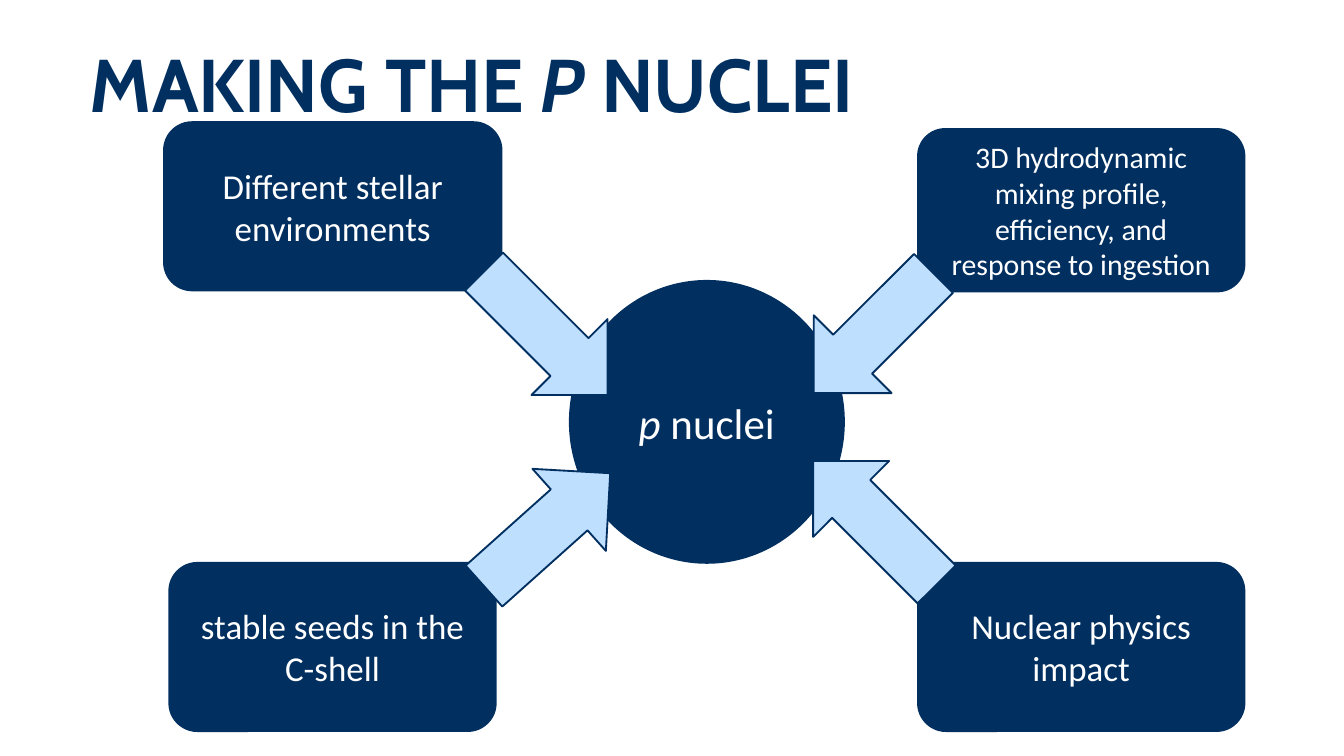
from dataclasses import dataclass

from pptx import Presentation
from pptx.dml.color import RGBColor
from pptx.enum.shapes import MSO_SHAPE
from pptx.enum.text import MSO_ANCHOR, PP_ALIGN
from pptx.util import Cm, Pt


@dataclass(frozen=True)
class Theme:
    navy: RGBColor = RGBColor(0x00, 0x2F, 0x60)
    pale: RGBColor = RGBColor(0xBF, 0xDF, 0xFF)
    white: RGBColor = RGBColor(0xFF, 0xFF, 0xFF)
    head: str = "Cabin"
    body: str = "Calibri"
    title: float = 40
    lead: float = 41
    hub: float = 23
    label: float = 18.7
    small: float = 16


@dataclass(frozen=True)
class Box:
    """A place in centimetres, turned clockwise by some degrees."""
    left: float
    top: float
    width: float
    height: float
    turn: float = 0


@dataclass(frozen=True)
class Factor:
    text: str
    box: Box
    arrow: Box
    size: float


THEME = Theme()
HUB = Box(10.77, 5.31, 5.18, 5.33)
FACTORS = [
    Factor("Different stellar environments", Box(3.1, 2.31, 6.38, 3.18),
           Box(9.3, 4.65, 2.03, 3.3, 315), THEME.label),
    Factor("Nuclear physics impact", Box(17.35, 10.64, 6.17, 3.18),
           Box(15.52, 8.23, 2.03, 3.3, 135), THEME.label),
    Factor("3D hydrodynamic mixing profile, efficiency, and response to ingestion",
           Box(17.35, 2.44, 6.17, 3.07), Box(15.47, 4.7, 2.08, 3.2, 45), THEME.small),
    Factor("stable seeds in the C-shell", Box(3.2, 10.64, 6.17, 3.18),
           Box(9.3, 8.41, 2.08, 3.2, 228.2), THEME.label),
]


def place(box: Box) -> tuple:
    return Cm(box.left), Cm(box.top), Cm(box.width), Cm(box.height)


def write(shape, *parts: str, size: float, color: RGBColor, font: str = THEME.body,
          bold: bool = False, slant: str = "", lead: float | None = None,
          align=PP_ALIGN.CENTER, anchor=MSO_ANCHOR.MIDDLE) -> None:
    """Fill a shape with one paragraph; the part equal to slant is italic."""
    frame = shape.text_frame
    frame.word_wrap = True
    frame.vertical_anchor = anchor
    para = frame.paragraphs[0]
    para.alignment = align
    if lead:
        para.line_spacing = Pt(lead)
    for part in parts:
        run = para.add_run()
        run.text = part
        run.font.name = font
        run.font.size = Pt(size)
        run.font.bold = bold
        run.font.italic = part == slant
        run.font.color.rgb = color


def draw(slide, kind, box: Box, fill: RGBColor):
    shape = slide.shapes.add_shape(kind, *place(box))
    shape.rotation = box.turn
    shape.shadow.inherit = False
    shape.fill.solid()
    shape.fill.fore_color.rgb = fill
    shape.line.color.rgb = THEME.navy
    shape.line.width = Pt(1)
    return shape


def main() -> None:
    deck = Presentation()
    deck.slide_width, deck.slide_height = Cm(25.4), Cm(14.29)
    slide = deck.slides.add_slide(deck.slide_layouts[6])

    for item in FACTORS:
        card = draw(slide, MSO_SHAPE.ROUNDED_RECTANGLE, item.box, THEME.navy)
        write(card, item.text, size=item.size, color=THEME.white)
    hub = draw(slide, MSO_SHAPE.OVAL, HUB, THEME.navy)
    write(hub, "p", " nuclei", size=THEME.hub, color=THEME.white, slant="p")
    for item in FACTORS:
        draw(slide, MSO_SHAPE.DOWN_ARROW, item.arrow, THEME.pale)

    title = slide.shapes.add_textbox(*place(Box(1.7, 0.97, 22, 1.42)))
    frame = title.text_frame
    frame.margin_left = frame.margin_right = frame.margin_top = frame.margin_bottom = 0
    write(title, "MAKING THE ", "P", " NUCLEI", size=THEME.title, color=THEME.navy,
          font=THEME.head, bold=True, slant="P", lead=THEME.lead,
          align=PP_ALIGN.LEFT, anchor=MSO_ANCHOR.TOP)

    deck.save("out.pptx")


if __name__ == "__main__":
    main()
